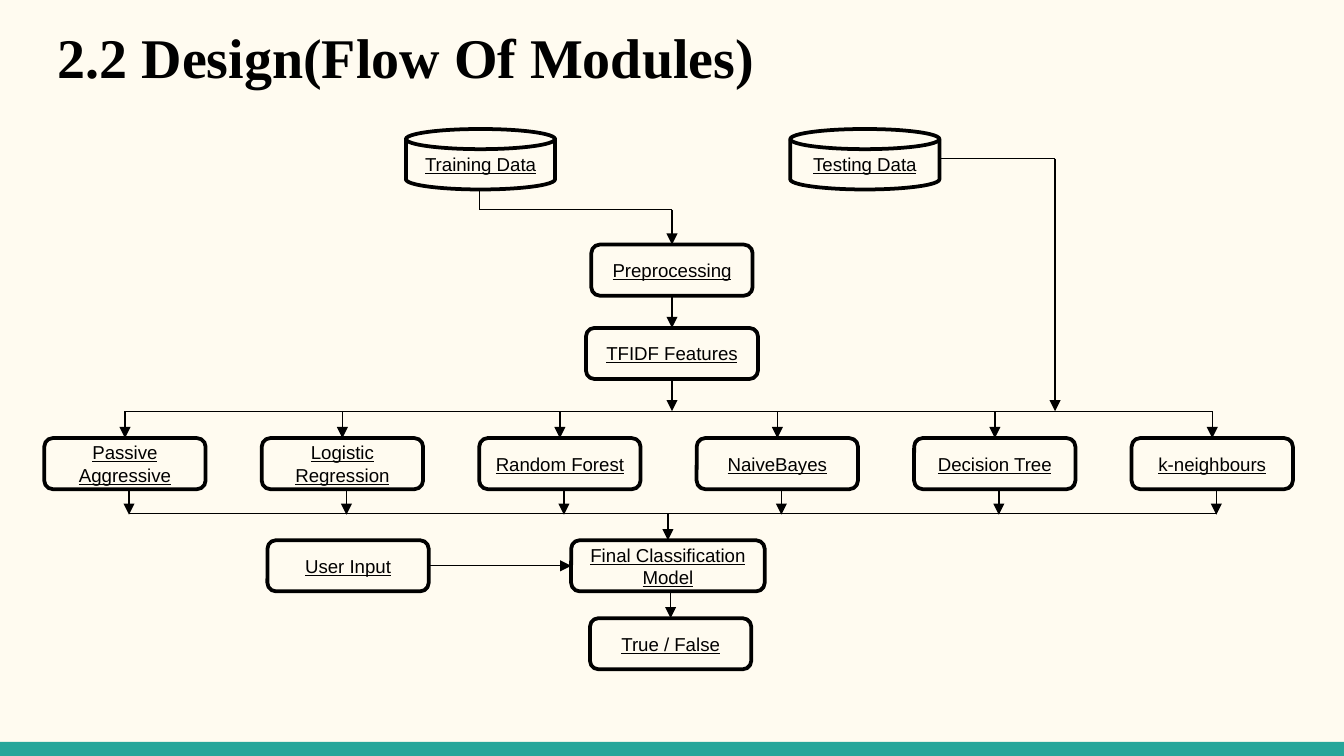
from pptx import Presentation
from pptx.dml.color import RGBColor
from pptx.enum.shapes import MSO_CONNECTOR as Wire, MSO_SHAPE as Form
from pptx.enum.text import MSO_ANCHOR as Anchor, PP_ALIGN as Align
from pptx.oxml.ns import qn
from pptx.util import Inches, Pt
from lxml.etree import SubElement

CREAM = RGBColor(0xFF, 0xFB, 0xF0)
TEAL = RGBColor(0x26, 0xA6, 0x9A)
BLACK = RGBColor(0, 0, 0)

HEAD = {"name": "Times New Roman", "size": Pt(30), "bold": True}
LABEL = {"name": "Arial", "size": Pt(10), "underline": True}
FRAME = {"word_wrap": True, "vertical_anchor": Anchor.MIDDLE,
         "margin_left": Inches(0.05), "margin_right": Inches(0.05),
         "margin_top": 0, "margin_bottom": 0}
MODELS = ["Passive Aggressive", "Logistic Regression", "Random Forest",
          "NaiveBayes", "Decision Tree", "k-neighbours"]
WIDE, HIGH = 1.2, 0.38
LEFT, STEP = 0.33, (8.42 - 0.33) / 5
ROW, SPLIT, MERGE = 3.26, 3.06, 3.82
SHIFT = 0.03


def apply(item, style):
    for key, value in style.items():
        setattr(item, key, value)


def write(frame, text, style, align):
    para = frame.paragraphs[0]
    para.alignment = align
    run = para.add_run()
    run.text = text
    apply(run.font, style)
    run.font.color.rgb = BLACK


def add_title(slide, text):
    title = slide.shapes.title
    apply(title, {"left": Inches(0.33), "top": Inches(0.07),
                  "width": Inches(9.32), "height": Inches(0.67)})
    inset = Inches(0.1)
    apply(title.text_frame, {"vertical_anchor": Anchor.TOP, "word_wrap": True,
                             "margin_left": inset, "margin_right": inset,
                             "margin_top": inset, "margin_bottom": inset})
    write(title.text_frame, text, HEAD, Align.LEFT)


def add_bar(slide):
    bar = slide.shapes.add_shape(Form.RECTANGLE, 0, Inches(5.52),
                                 Inches(10), Inches(0.11))
    bar.shadow.inherit = False
    bar.fill.solid()
    bar.fill.fore_color.rgb = TEAL
    bar.line.fill.background()


def add_node(slide, text, x, y, w=WIDE, h=HIGH, form=Form.ROUNDED_RECTANGLE):
    node = slide.shapes.add_shape(form, Inches(x), Inches(y),
                                  Inches(w), Inches(h))
    node.shadow.inherit = False
    node.fill.solid()
    node.fill.fore_color.rgb = CREAM
    node.line.color.rgb = BLACK
    node.line.width = Pt(2)
    apply(node.text_frame, FRAME)
    write(node.text_frame, text, LABEL, Align.CENTER)
    return node


def add_disk(slide, text, x):
    return add_node(slide, text, x, 0.96, 1.11, 0.45,
                    Form.FLOWCHART_MAGNETIC_DISK)


def add_line(slide, x1, y1, x2, y2, arrow=True, start=None, end=None):
    line = slide.shapes.add_connector(Wire.STRAIGHT, Inches(x1), Inches(y1),
                                      Inches(x2), Inches(y2))
    line.line.color.rgb = BLACK
    line.line.width = Pt(0.75)
    props = line._element.spPr
    if arrow:
        SubElement(props.get_or_add_ln(), qn("a:tailEnd"), type="triangle")
    SubElement(props, qn("a:effectLst"))
    if start:
        line.begin_connect(*start)
    if end:
        line.end_connect(*end)


def add_models(slide):
    first = LEFT + WIDE / 2
    last = first + 5 * STEP
    add_line(slide, first, SPLIT, last, SPLIT, arrow=False)
    add_line(slide, first + SHIFT, MERGE, last + SHIFT, MERGE, arrow=False)
    for i, name in enumerate(MODELS):
        x = LEFT + i * STEP
        mid = x + WIDE / 2
        node = add_node(slide, name, x, ROW)
        add_line(slide, mid, SPLIT, mid, ROW, end=(node, 0))
        add_line(slide, mid + SHIFT, ROW + HIGH, mid + SHIFT, MERGE + 0.01)


def add_input(slide):
    add_disk(slide, "Training Data", 3.02)
    add_disk(slide, "Testing Data", 5.88)
    prep = add_node(slide, "Preprocessing", 4.4, 1.82)
    tfidf = add_node(slide, "TFIDF Features", 4.36, 2.44, 1.28)
    add_line(slide, 3.57, 1.41, 3.57, 1.56, arrow=False)
    add_line(slide, 3.57, 1.56, 5, 1.56, arrow=False)
    add_line(slide, 5, 1.56, 5, 1.82, end=(prep, 0))
    add_line(slide, 5, 2.2, 5, 2.44, start=(prep, 2), end=(tfidf, 0))
    add_line(slide, 5, 2.82, 5, SPLIT, start=(tfidf, 2))
    add_line(slide, 6.98, 1.18, 7.85, 1.18, arrow=False)
    add_line(slide, 7.85, 1.18, 7.85, SPLIT)


def add_result(slide):
    final = add_node(slide, "Final Classification Model", 4.25, 4.02, 1.44)
    user = add_node(slide, "User Input", 1.99, 4.02)
    truth = add_node(slide, "True / False", 4.39, 4.6)
    add_line(slide, 4.97, MERGE, 4.97, 4.02, end=(final, 0))
    add_line(slide, 3.19, 4.21, 4.25, 4.21, start=(user, 3), end=(final, 1))
    add_line(slide, 4.99, 4.4, 4.99, 4.6, end=(truth, 0))


def main():
    deck = Presentation()
    wide = Inches(10)
    apply(deck, {"slide_width": wide, "slide_height": wide * 9 // 16})
    slide = deck.slides.add_slide(deck.slide_layouts[5])
    slide.background.fill.solid()
    slide.background.fill.fore_color.rgb = CREAM
    add_bar(slide)
    add_title(slide, "2.2 Design(Flow Of Modules)")
    add_input(slide)
    add_models(slide)
    add_result(slide)
    deck.save("out.pptx")


if __name__ == "__main__":
    main()
